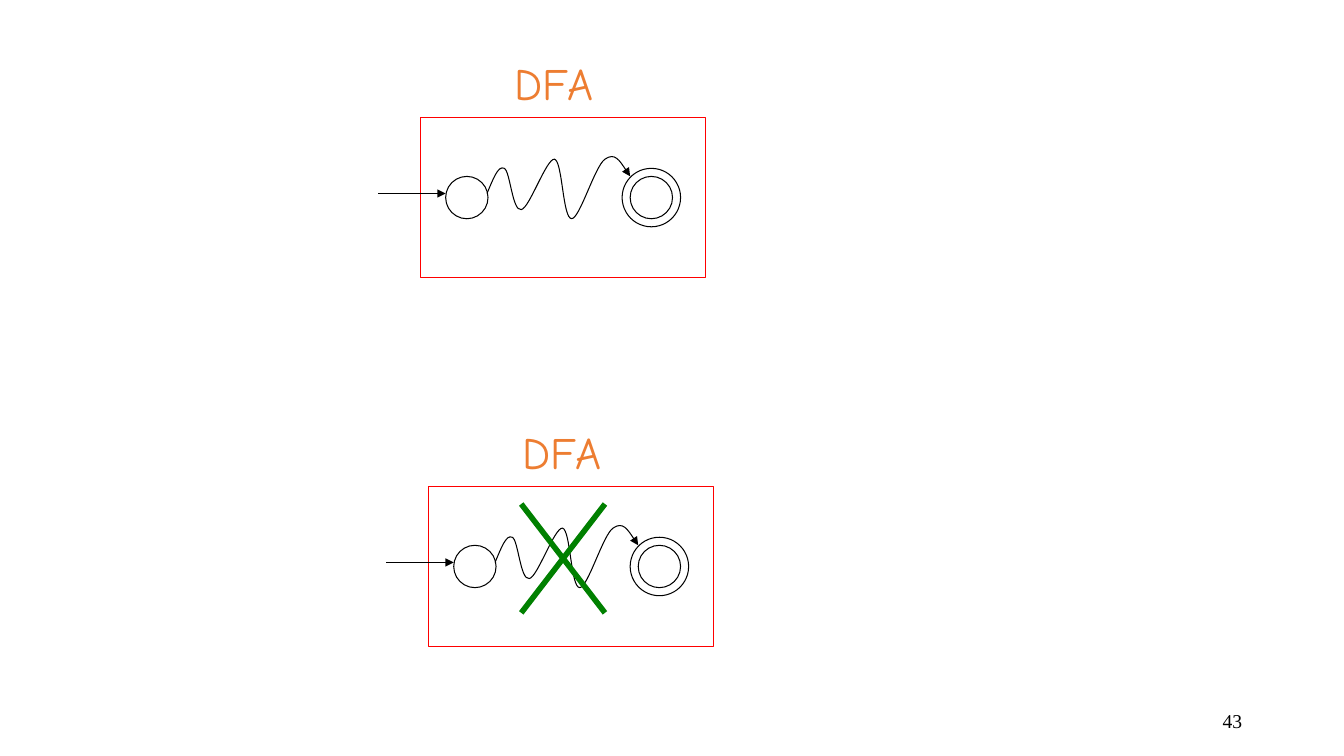
from lxml.etree import SubElement as Sub
from pptx import Presentation
from pptx.dml.color import RGBColor as RGB
from pptx.enum.shapes import MSO_CONNECTOR as Link, MSO_SHAPE as Kind
from pptx.enum.text import MSO_ANCHOR as Anchor, MSO_AUTO_SIZE as Auto, PP_ALIGN as Align
from pptx.oxml.ns import qn
from pptx.util import Inches, Pt

COLORS = {"ink": "000000", "frame": "FF0000", "title": "ED7D31", "cross": "008000"}

# Places within the upper automaton; the lower one is the same, shifted.
SHIFTS = [(0, 0), (0.08, 3.66)]
TITLE = ("DFA", 5, 0.5, 1.12, 0.63)
FRAME = (4.17, 1.17, 2.83, 1.58)
STATES = [(4.63, 1.96, 0.42), (6.46, 1.96, 0.42), (6.46, 1.96, 0.58)]  # centre, diameter
START = (3.75, 1.92, 4.42, 1.92)
# Start point, then two control points and an end point for each curve
WAVE = [(4.83, 1.92),
        (4.89, 1.78), (4.94, 1.64), (5, 1.67),
        (5.06, 1.69), (5.08, 2.1), (5.17, 2.08),
        (5.25, 2.07), (5.42, 1.57), (5.5, 1.58),
        (5.58, 1.6), (5.58, 2.17), (5.67, 2.17),
        (5.75, 2.17), (5.9, 1.65), (6, 1.58),
        (6.1, 1.51), (6.17, 1.63), (6.25, 1.75)]
CROSS = [(5.17, 5, 6, 6.08), (6, 5, 5.17, 6.08)]
NUMBER = ("43", 9.42, 6.95, 3, 0.4)
TITLE_FONT = {"name": "Comic Neue", "size": Pt(32)}
NUMBER_FONT = {"name": "Times New Roman", "size": Pt(14)}

prs = Presentation()
prs.slide_width, prs.slide_height = Inches(13.33), Inches(7.5)
shapes = prs.slides.add_slide(prs.slide_layouts[6]).shapes


def stroke(item, color, width=0.75, arrow=False):
    item.line.color.rgb = RGB.from_string(COLORS[color])
    item.line.width = Pt(width)
    if arrow:
        Sub(item.line._get_or_add_ln(), qn("a:tailEnd"), type="triangle")


def outline(shape, color, arrow=False):
    shape.shadow.inherit = False
    shape.fill.background()
    stroke(shape, color, arrow=arrow)


def add_line(ends, color, width=0.75, arrow=False):
    line = shapes.add_connector(Link.STRAIGHT, *map(Inches, ends))
    stroke(line, color, width, arrow)
    Sub(line._element.spPr, qn("a:effectLst"))


def add_wave(points):
    """Draw the points as a chain of cubic curves ending in an arrowhead."""
    points = [(Inches(x), Inches(y)) for x, y in points]
    pen = shapes.build_freeform(*points[0])
    pen.add_line_segments(points[1:], close=False)
    wave = pen.convert_to_shape()
    steps = list(wave._element.iter(qn("a:lnTo")))
    for i in range(0, len(steps), 3):
        curve = Sub(steps[i].getparent(), qn("a:cubicBezTo"))
        for step in steps[i:i + 3]:
            curve.append(step[0])
            step.getparent().remove(step)
    outline(wave, "ink", arrow=True)


def add_text(text, left, top, width, height, font, color):
    box = shapes.add_textbox(*map(Inches, (left, top, width, height)))
    para = box.text_frame.paragraphs[0]
    run = para.add_run()
    run.text = text
    for key, value in font.items():
        setattr(run.font, key, value)
    run.font.color.rgb = RGB.from_string(COLORS[color])
    return box.text_frame, para


def add_automaton(dx, dy):
    left, top, width, height = FRAME
    frame = shapes.add_shape(Kind.RECTANGLE, *map(Inches, (left + dx, top + dy, width, height)))
    outline(frame, "frame")
    for x, y, size in STATES:
        place = (x + dx - size / 2, y + dy - size / 2, size, size)
        outline(shapes.add_shape(Kind.OVAL, *map(Inches, place)), "ink")
    x1, y1, x2, y2 = START
    add_line((x1 + dx, y1 + dy, x2 + dx, y2 + dy), "ink", arrow=True)
    add_wave([(x + dx, y + dy) for x, y in WAVE])
    text, left, top, width, height = TITLE
    body, _ = add_text(text, left + dx, top + dy, width, height, TITLE_FONT, "title")
    body.word_wrap = False
    body.auto_size = Auto.SHAPE_TO_FIT_TEXT


body, para = add_text(*NUMBER, NUMBER_FONT, "ink")
body.word_wrap = True
body.vertical_anchor = Anchor.MIDDLE
para.alignment = Align.RIGHT

for shift in SHIFTS:
    add_automaton(*shift)
for ends in CROSS:
    add_line(ends, "cross", 4)

prs.save("out.pptx")
